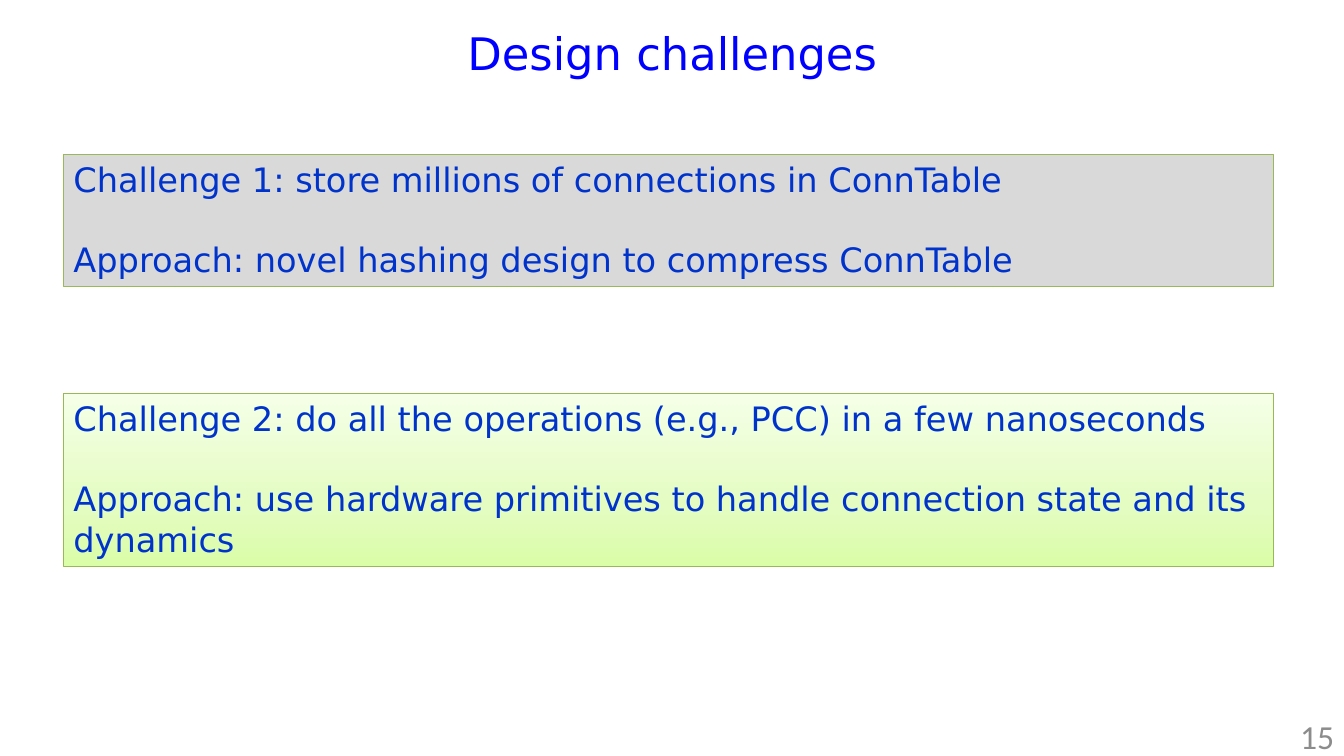
from copy import deepcopy
from dataclasses import dataclass

from pptx import Presentation
from pptx.dml.color import RGBColor
from pptx.enum.shapes import MSO_SHAPE
from pptx.enum.text import MSO_ANCHOR, MSO_AUTO_SIZE, PP_ALIGN
from pptx.oxml.ns import qn
from pptx.shapes.autoshape import Shape
from pptx.slide import Slide
from pptx.text.text import _Paragraph as Paragraph
from pptx.util import Inches, Pt

COLORS = {
    "title": "0000FF",
    "text": "0033CC",
    "number": "8C8C8C",
    "border": "98B955",
    "gray": "D9D9D9",
    "green": "DAFDA7",
    "light green": "E4FCC2",
    "pale green": "F5FFE7",
}
TEXT_FONT = "DejaVu Sans"
NUMBER_FONT = "Calibri"
APPROACH_GAP = Pt(28.5)


@dataclass
class Challenge:
    top: float
    height: float
    challenge: str
    approach: str
    stops: list[tuple[float, str]]  # a single stop gives a solid fill


CHALLENGES = [
    Challenge(1.53, 1.31,
              "Challenge 1: store millions of connections in ConnTable",
              "Approach: novel hashing design to compress ConnTable",
              [(0, "gray")]),
    Challenge(3.9, 1.72,
              "Challenge 2: do all the operations (e.g., PCC) in a few nanoseconds",
              "Approach: use hardware primitives to handle connection state and its dynamics",
              [(0, "green"), (0.35, "light green"), (1, "pale green")]),
]


def rgb(name: str) -> RGBColor:
    return RGBColor.from_string(COLORS[name])


def write(para: Paragraph, text: str, size: int, color: str,
          font: str = TEXT_FONT, align: PP_ALIGN = PP_ALIGN.LEFT) -> None:
    para.text = text
    para.alignment = align
    for span in para.runs:
        span.font.name = font
        span.font.size = Pt(size)
        span.font.color.rgb = rgb(color)


def fill_box(box: Shape, stops: list[tuple[float, str]]) -> None:
    if len(stops) == 1:
        box.fill.solid()
        box.fill.fore_color.rgb = rgb(stops[0][1])
        return
    box.fill.gradient()
    box.fill.gradient_angle = 90
    # The default gradient has two stops; add the missing ones
    stop_list = box.element.spPr.find(qn("a:gradFill")).find(qn("a:gsLst"))
    while len(stop_list) < len(stops):
        stop_list.append(deepcopy(stop_list[0]))
    for stop, (position, color) in zip(box.fill.gradient_stops, stops):
        stop.position = position
        stop.color.rgb = rgb(color)


def add_challenge(slide: Slide, item: Challenge) -> None:
    box = slide.shapes.add_shape(MSO_SHAPE.RECTANGLE, Inches(0.63), Inches(item.top),
                                 Inches(12), Inches(item.height))
    box.shadow.inherit = False
    fill_box(box, item.stops)
    box.line.color.rgb = rgb("border")
    box.line.width = Pt(0.75)
    frame = box.text_frame
    frame.word_wrap = True
    frame.auto_size = MSO_AUTO_SIZE.SHAPE_TO_FIT_TEXT
    frame.vertical_anchor = MSO_ANCHOR.TOP
    write(frame.paragraphs[0], item.challenge, 24, "text")
    approach = frame.add_paragraph()
    write(approach, item.approach, 24, "text")
    approach.space_before = APPROACH_GAP


deck = Presentation()
deck.slide_width, deck.slide_height = Inches(13.33), Inches(7.5)
page = deck.slides.add_slide(deck.slide_layouts[5])

# Title
title = page.shapes.title
title.left, title.top = Inches(1.67), Inches(0)
title.width, title.height = Inches(10), Inches(1.04)
title.text_frame.vertical_anchor = MSO_ANCHOR.MIDDLE
write(title.text_frame.paragraphs[0], "Design challenges", 32, "title",
      align=PP_ALIGN.CENTER)

# Challenges
for entry in CHALLENGES:
    add_challenge(page, entry)

# Page number
number = page.shapes.add_textbox(Inches(11), Inches(7.1), Inches(2.33), Inches(0.4))
number.text_frame.word_wrap = True
number.text_frame.vertical_anchor = MSO_ANCHOR.MIDDLE
write(number.text_frame.paragraphs[0], "15", 24, "number", NUMBER_FONT, PP_ALIGN.RIGHT)

deck.save("out.pptx")
